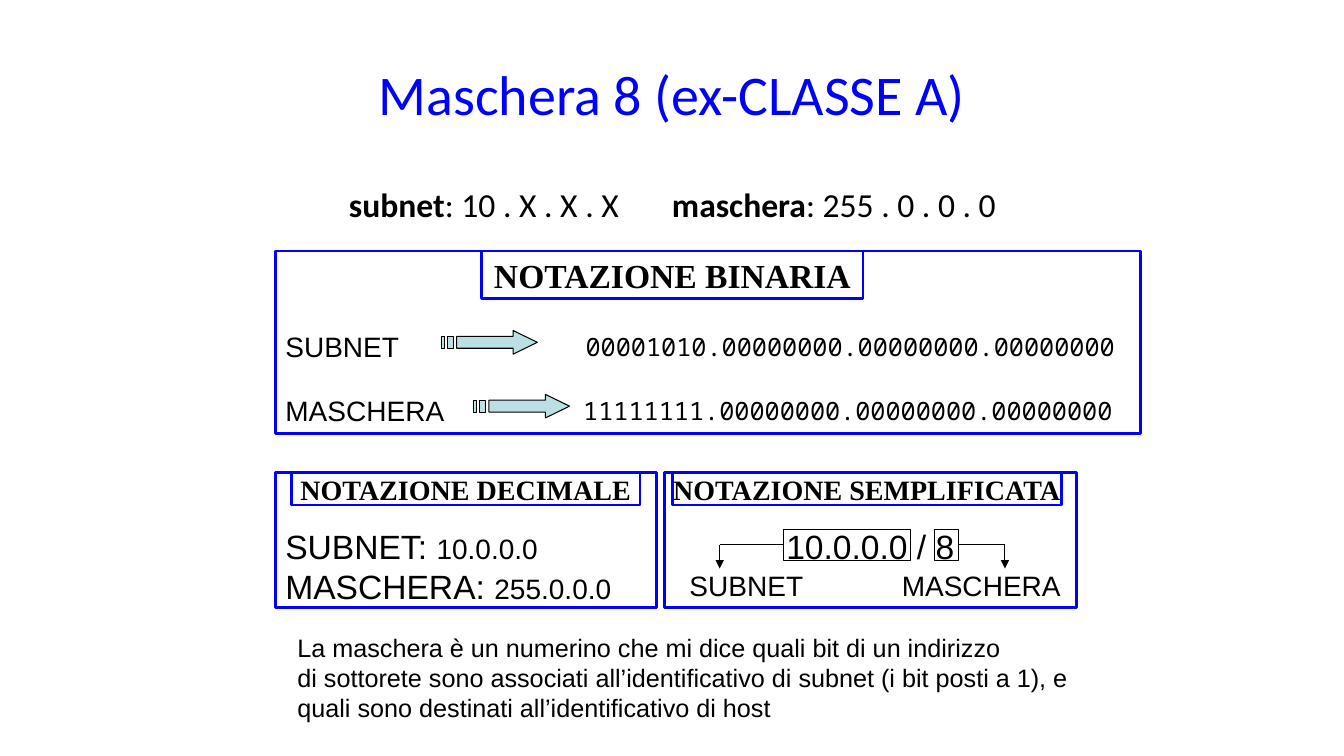
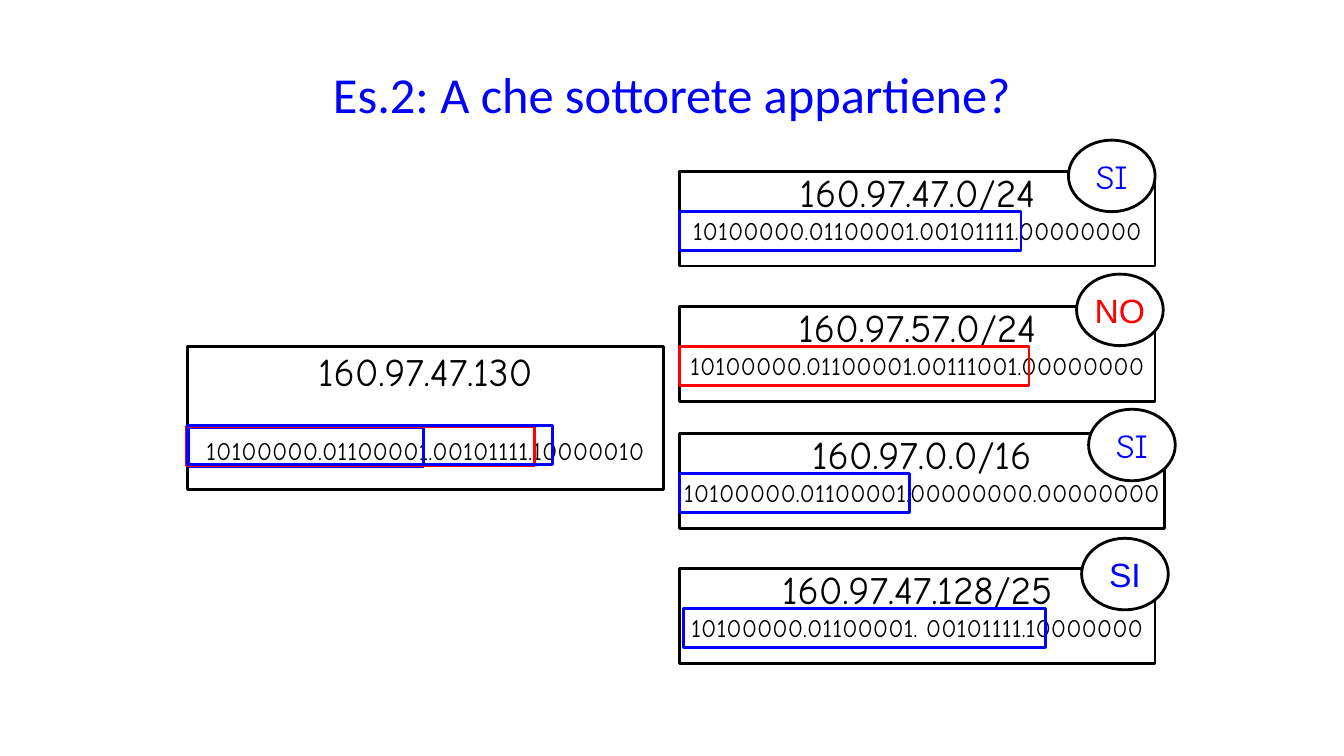
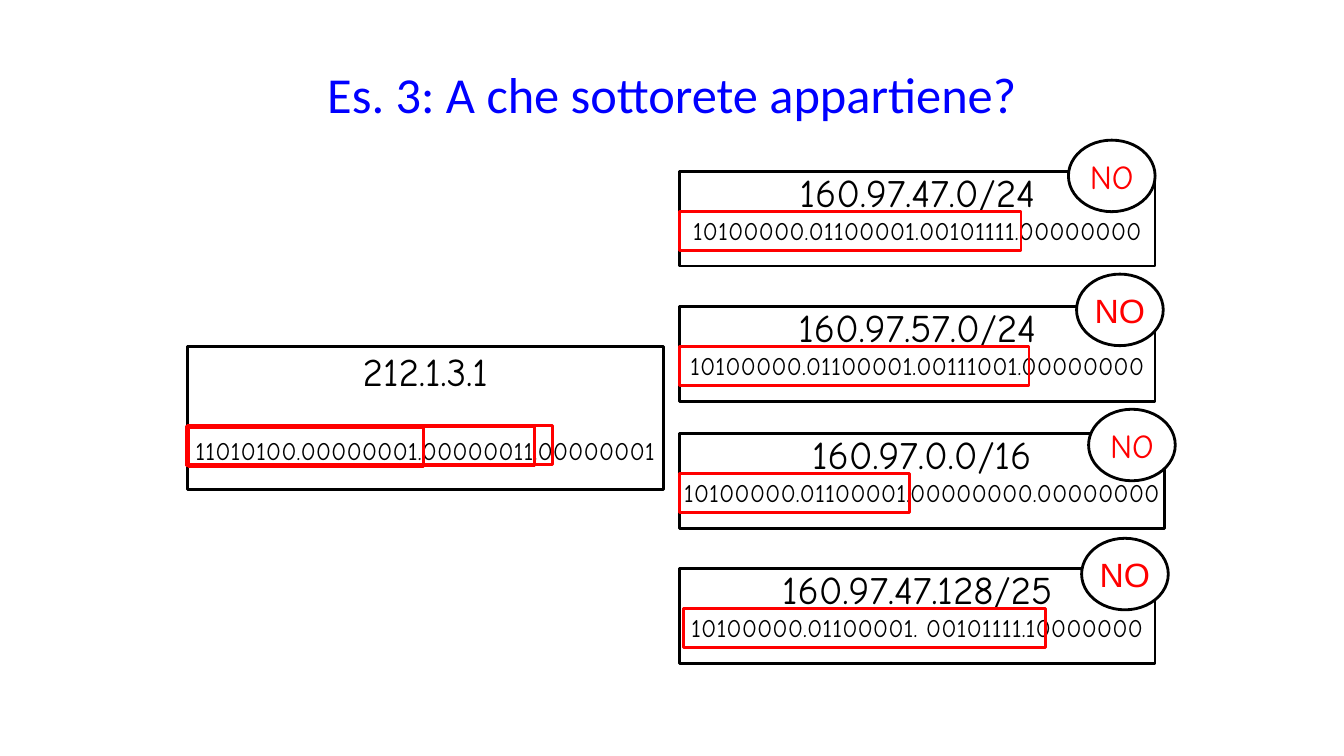
import pptx
import pptx.util
import pptx.dml.color
import pptx.enum.shapes
import pptx.enum.text
import pptx.oxml.ns
import lxml.etree

Pt = pptx.util.Pt
Kind = pptx.enum.shapes.MSO_SHAPE
Align = pptx.enum.text.PP_ALIGN
Anchor = pptx.enum.text.MSO_ANCHOR

# Shared style
BLUE, RED, BLACK, WHITE, AQUA = "0000FF", "FF0000", "000000", "FFFFFF", "BBE0E3"
SANS, SERIF, HEAD, COMIC, MONO = (
    "Arial", "Times New Roman", "Calibri", "Comic Neue", "Noto Sans Mono")
THICK, THIN = 2, 0.75

# Subnet cards: top, width, address, bits, mark left, mark width, badge left, badge top, badge font
CARDS = [
    (122.4, 339.8, "160.97.47.0/24", "10100000.01100001.00101111.00000000",
     485.3, 244.1, 763.2, 100.1, COMIC),
    (218.9, 339.8, "160.97.57.0/24", "10100000.01100001.00111001.00000000",
     485.3, 249.8, 769, 195.8, SANS),
    (309.6, 346.3, "160.97.0.0/16", "10100000.01100001.00000000.00000000",
     485.3, 164.2, 777.6, 292.3, COMIC),
    (406.1, 339.8, "160.97.47.128/25", "10100000.01100001. 00101111.10000000",
     488.2, 258.5, 772.6, 384.5, SANS),
]
# Prefix marks on the host card: left, top, width
PREFIX = [(133.2, 304.6, 248.4), (134.6, 305.3, 167.8),
          (133.2, 304.6, 248.4), (133.9, 303.8, 260.6)]


def rgb(code):
    return pptx.dml.color.RGBColor.from_string(code)


def write(frame, lines, size, font, color=BLACK, align=Align.CENTER, bold=None):
    """Each line is a string or a list of (text, size, bold) runs."""
    frame.vertical_anchor = Anchor.MIDDLE
    for i, line in enumerate(lines):
        para = frame.paragraphs[0] if i == 0 else frame.add_paragraph()
        para.alignment = align
        para.font.name, para.font.size = font, Pt(size)
        para.font.color.rgb, para.font.bold = rgb(color), bold
        if isinstance(line, str):
            para.add_run().text = line
            continue
        for text, own, heavy in line:
            run = para.add_run()
            run.text = text
            run.font.size, run.font.bold = Pt(own), heavy


def label(slide, x, mid, w, lines, size, font, color=BLACK, align=Align.LEFT):
    """Text without margins, centred on the height mid."""
    h = 1.2 * size * len(lines)
    frame = slide.shapes.add_textbox(Pt(x), Pt(mid - h / 2), Pt(w), Pt(h)).text_frame
    frame.word_wrap = True
    frame.margin_left = frame.margin_right = frame.margin_top = frame.margin_bottom = 0
    write(frame, lines, size, font, color, align)


def paint(shape, line, width, fill=None):
    shape.shadow.inherit = False
    if fill:
        shape.fill.solid()
        shape.fill.fore_color.rgb = rgb(fill)
    else:
        shape.fill.background()
    shape.line.color.rgb = rgb(line)
    shape.line.width = Pt(width)


def box(slide, x, y, w, h, line=BLUE, width=THICK, fill=None, kind=Kind.RECTANGLE):
    shape = slide.shapes.add_shape(kind, Pt(x), Pt(y), Pt(w), Pt(h))
    paint(shape, line, width, fill)
    shape.text_frame.word_wrap = False
    return shape


def header(slide, x, y, w, h, text, size):
    write(box(slide, x, y, w, h).text_frame, [text], size, SERIF, bold=True)


def wire(slide, x1, y1, x2, y2, arrow=False):
    line = slide.shapes.add_connector(
        pptx.enum.shapes.MSO_CONNECTOR.STRAIGHT, Pt(x1), Pt(y1), Pt(x2), Pt(y2))
    line.line.color.rgb = rgb(BLACK)
    line.line.width = Pt(THIN)
    qn = pptx.oxml.ns.qn
    if arrow:
        lxml.etree.SubElement(line.line._get_or_add_ln(), qn("a:tailEnd"), type="triangle")
    lxml.etree.SubElement(line._element.spPr, qn("a:effectLst"))
    return line


def dart(slide, x, y):
    """Arrow with two stripes at its tail."""
    top, low, high = 4.2, 12.7, 16.9
    parts = [[(51.1, 0), (51.1, top), (10.8, top), (10.8, low), (51.1, low),
              (51.1, high), (68.4, high / 2)]]
    for a, b in ((4.3, 8.6), (0, 2.1)):
        parts.append([(a, top), (a, low), (b, low), (b, top)])
    pen = None
    for part in parts:
        spots = [(Pt(x + dx), Pt(y + dy)) for dx, dy in part]
        if pen is None:
            pen = slide.shapes.build_freeform(*spots[0])
        else:
            pen.move_to(*spots[0])
        pen.add_line_segments(spots[1:], close=True)
    paint(pen.convert_to_shape(), BLACK, THIN, AQUA)


def page(deck, title, size):
    slide = deck.slides.add_slide(deck.slide_layouts[6])
    label(slide, 48, 66.6, 864, [title], size, HEAD, BLUE, Align.CENTER)
    return slide


def card(slide, x, y, w, h, host, bits, gap=0):
    frame = box(slide, x, y, w, h, BLACK).text_frame
    frame.margin_top, frame.margin_bottom = 0, Pt(16.8)
    write(frame, [host, bits], 28, COMIC)
    last = frame.paragraphs[1]
    last.font.size = Pt(18)
    if gap:
        last.space_before = Pt(gap)


def mask(deck):
    slide = page(deck, "Maschera 8 (ex-CLASSE A)", 40)
    for x, name, value in ((249.3, "subnet", ": 10 . X . X . X"),
                           (480, "maschera", ": 255 . 0 . 0 . 0")):
        label(slide, x, 146, 260, [[(name, 24, True), (value, 24, False)]], 24, HEAD)

    # Binary notation
    box(slide, 196.6, 179.3, 617.8, 130.3)
    header(slide, 344.2, 179.3, 272.2, 33.8, "NOTAZIONE BINARIA", 24)
    for mid, name, tail, left, bits in (
            (247.2, "SUBNET", 315.4, 418.3, "00001010.00000000.00000000.00000000"),
            (292.8, "MASCHERA", 338.4, 416.6, "11111111.00000000.00000000.00000000")):
        label(slide, 203.8, mid, 120, [name], 20, SANS)
        dart(slide, tail, mid - 11.1)
        label(slide, left, mid + 0.5, 390, [bits], 18, MONO)

    # Decimal notation
    box(slide, 196.6, 337.7, 272.2, 96.5)
    header(slide, 208.1, 337.7, 249.1, 23, "NOTAZIONE DECIMALE", 20)
    label(slide, 203.8, 404.3, 260,
          [[("SUBNET: ", 24, None), ("10.0.0.0", 20, None)],
           [("MASCHERA: ", 24, None), ("255.0.0.0", 20, None)]], 24, SANS)

    # Short notation
    box(slide, 474.5, 337.7, 294.5, 96.5)
    header(slide, 480.2, 337.7, 277.9, 23, "NOTAZIONE SEMPLIFICATA", 20)
    label(slide, 541.7, 390.2, 160, ["10.0.0.0 / 8"], 24, SANS, align=Align.CENTER)
    for x, w, end, side in ((559.4, 90.7, 514.1, 1), (667.4, 17.3, 717.8, 3)):
        frame = box(slide, x, 378, w, 22.3, BLACK, THIN)
        edge = x if side == 1 else x + w
        wire(slide, edge, 389.15, end, 389.15).begin_connect(frame, side)
        wire(slide, end, 389.15, end, 406.1, arrow=True)
    label(slide, 492.5, 418, 100, ["SUBNET"], 20, SANS)
    label(slide, 640.9, 418, 120, ["MASCHERA"], 20, SANS, align=Align.CENTER)

    # Explanation
    label(slide, 212.4, 483.8, 600, [
        "La maschera è un numerino che mi dice quali bit di un indirizzo",
        "di sottorete sono associati all’identificativo di subnet (i bit posti a 1), e",
        "quali sono destinati all’identificativo di host"], 18, SANS)


def quiz(deck, title, host, bits, answers, hues):
    slide = page(deck, title, 36)
    card(slide, 133.9, 247.7, 339.8, 102.2, host, bits, gap=28.8)
    for row, answer in zip(CARDS, answers):
        top, wide, net, code, left, span, bx, by, font = row
        hue = BLUE if answer == "SI" else RED
        card(slide, 485.3, top, wide, 67.7, net, code)
        badge = box(slide, bx, by, 61.9, 51.1, BLACK, THICK, WHITE, Kind.OVAL)
        write(badge.text_frame, [answer], 24, font, hue)
        box(slide, left, top + 28.4, span, 28.1, hue)
    for (x, y, w), hue in zip(PREFIX, hues):
        box(slide, x, y, w, 28.1, hue)


def main():
    deck = pptx.Presentation()
    deck.slide_width, deck.slide_height = Pt(960), Pt(540)
    mask(deck)
    quiz(deck, "Es.2: A che sottorete appartiene?", "160.97.47.130",
         "10100000.01100001.00101111.10000010",
         ["SI", "NO", "SI", "SI"], [BLUE, BLUE, RED, BLUE])
    quiz(deck, "Es. 3: A che sottorete appartiene?", "212.1.3.1",
         "11010100.00000001.00000011.00000001", ["NO"] * 4, [RED] * 4)
    deck.save("out.pptx")


if __name__ == "__main__":
    main()
